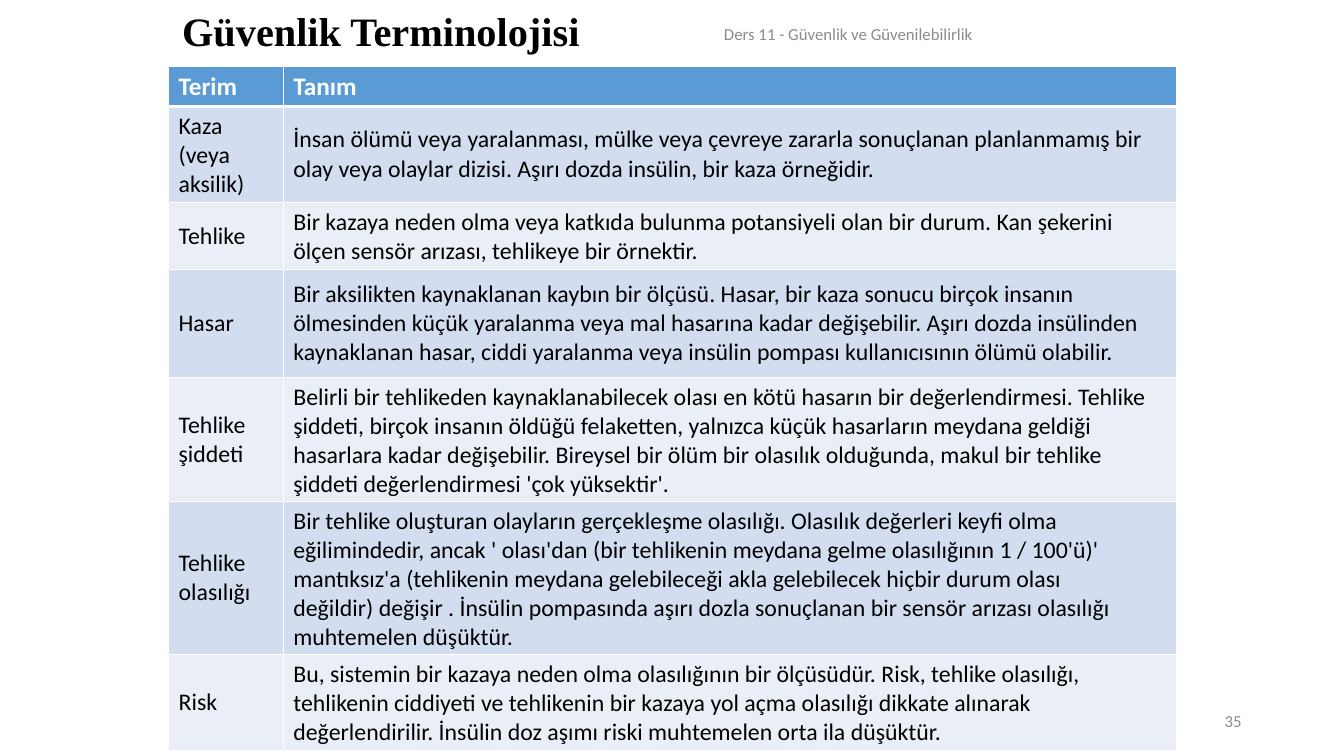
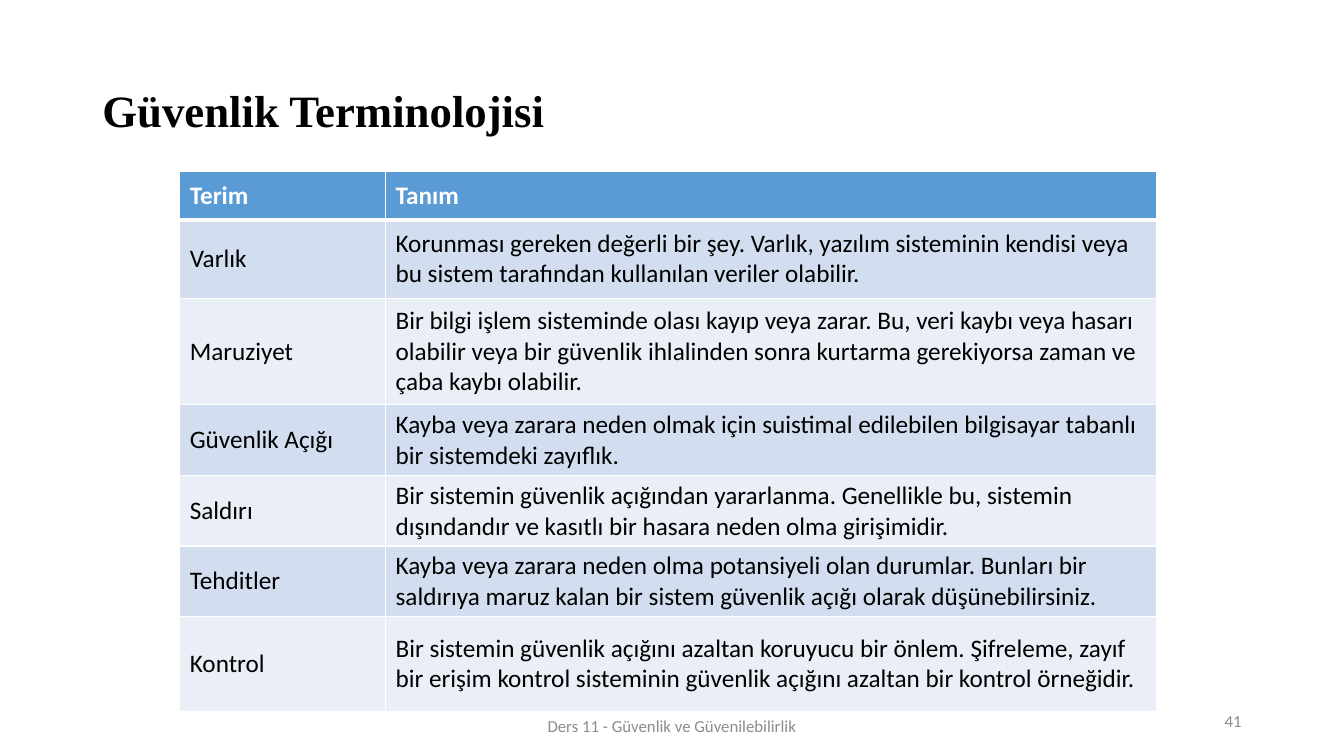
from dataclasses import dataclass

from lxml import etree
from pptx import Presentation
from pptx.dml.color import RGBColor
from pptx.enum import text
from pptx.oxml import ns
from pptx.util import Pt

COLORS = {
    "black": "000000",
    "white": "FFFFFF",
    "muted": "8C8C8C",
    "header": "5B9BD5",
    "band_dark": "D2DEEF",
    "band_light": "EAEFF7",
}
TITLE = "Güvenlik Terminolojisi"
FOOTER = "Ders 11 - Güvenlik ve Güvenilebilirlik"
HEADINGS = ("Terim", "Tanım")
TITLE_FONT, BODY_FONT = "Times New Roman", "Calibri"
NBSP = chr(160)  # "~" in the texts marks a non-breaking space


@dataclass(frozen=True)
class Box:
    left: float
    top: float
    width: float
    height: float


@dataclass(frozen=True)
class TermSlide:
    number: int
    title: Box
    title_size: float
    footer: Box
    table: Box
    term_width: float
    body_size: float
    row_heights: tuple[float, ...]
    terms: tuple[tuple[str, str], ...]


NUMBER_BOX = Box(678, 500.4, 216, 28.8)

SLIDES = (
    TermSlide(
        number=35,
        title=Box(123, 4.3, 574.6, 38.9),
        title_size=28.8,
        footer=Box(492, 9.6, 228, 28.8),
        table=Box(120.4, 47.2, 720, 488),
        term_width=82,
        body_size=17,
        row_heights=(25.2, 59, 41, 77, 77, 94.3, 59),
        terms=(
            ("Kaza (veya aksilik)",
             "İnsan ölümü veya yaralanması, mülke veya çevreye zararla sonuçlanan "
             "planlanmamış bir olay veya olaylar dizisi.~Aşırı dozda insülin, bir kaza "
             "örneğidir."),
            ("Tehlike",
             "Bir kazaya neden olma veya katkıda bulunma potansiyeli olan bir durum.~Kan "
             "şekerini ölçen sensör arızası, tehlikeye bir örnektir."),
            ("Hasar",
             "Bir aksilikten kaynaklanan kaybın bir ölçüsü.~Hasar, bir kaza sonucu birçok "
             "insanın ölmesinden küçük yaralanma veya mal hasarına kadar değişebilir.~Aşırı "
             "dozda insülinden kaynaklanan hasar, ciddi yaralanma veya insülin pompası "
             "kullanıcısının ölümü olabilir."),
            ("Tehlike şiddeti",
             "Belirli bir tehlikeden kaynaklanabilecek olası en kötü hasarın bir "
             "değerlendirmesi.~Tehlike şiddeti, birçok insanın öldüğü felaketten, yalnızca "
             "küçük hasarların meydana geldiği hasarlara kadar değişebilir.~Bireysel bir "
             "ölüm bir olasılık olduğunda, makul bir tehlike şiddeti değerlendirmesi "
             "'çok yüksektir'."),
            ("Tehlike olasılığı",
             "Bir tehlike oluşturan olayların gerçekleşme olasılığı.~Olasılık değerleri "
             "keyfi olma eğilimindedir, ancak '~olası'dan (bir tehlikenin meydana gelme "
             "olasılığının 1 / 100'ü)' mantıksız'a (tehlikenin meydana gelebileceği akla "
             "gelebilecek hiçbir durum olası değildir)~değişir~.~İnsülin pompasında aşırı "
             "dozla sonuçlanan bir sensör arızası olasılığı muhtemelen düşüktür."),
            ("Risk",
             "Bu, sistemin bir kazaya neden olma olasılığının bir ölçüsüdür.~Risk, tehlike "
             "olasılığı, tehlikenin ciddiyeti ve tehlikenin bir kazaya yol açma olasılığı "
             "dikkate alınarak değerlendirilir.~İnsülin doz aşımı riski muhtemelen orta "
             "ila düşüktür."),
        ),
    ),
    TermSlide(
        number=41,
        title=Box(66, 28.8, 828, 104.4),
        title_size=32,
        footer=Box(366, 504, 228, 28.8),
        table=Box(128.4, 122.4, 697.6, 385),
        term_width=147,
        body_size=18,
        row_heights=(34.5, 56.2, 76, 48.3, 48.3, 48.3, 67.7),
        terms=(
            ("Varlık",
             "Korunması gereken değerli bir şey.~Varlık, yazılım sisteminin kendisi veya bu "
             "sistem tarafından kullanılan veriler olabilir."),
            ("Maruziyet",
             "Bir bilgi işlem sisteminde olası kayıp veya zarar.~Bu, veri kaybı veya hasarı "
             "olabilir veya bir güvenlik ihlalinden sonra kurtarma gerekiyorsa zaman ve "
             "çaba kaybı olabilir."),
            ("Güvenlik Açığı",
             "Kayba veya zarara neden olmak için suistimal edilebilen bilgisayar tabanlı "
             "bir sistemdeki zayıflık."),
            ("Saldırı",
             "Bir sistemin güvenlik açığından yararlanma.~Genellikle bu, sistemin "
             "dışındandır ve kasıtlı bir hasara neden olma girişimidir."),
            ("Tehditler",
             "Kayba veya zarara neden olma potansiyeli olan durumlar.~Bunları bir saldırıya "
             "maruz kalan bir sistem güvenlik açığı olarak düşünebilirsiniz."),
            ("Kontrol",
             "Bir sistemin güvenlik açığını azaltan koruyucu bir önlem.~Şifreleme, zayıf bir "
             "erişim kontrol sisteminin güvenlik açığını azaltan bir kontrol örneğidir."),
        ),
    ),
)


def write(tf, content: str, *, size: float, color: str, font: str = BODY_FONT,
          bold: bool = False, align=text.PP_ALIGN.LEFT, spacing: float = 1.0) -> None:
    """Put one formatted paragraph in a text frame."""
    tf.word_wrap = True
    p = tf.paragraphs[0]
    p.alignment = align
    p.line_spacing = spacing
    r = p.add_run()
    r.text = content.replace("~", NBSP)
    r.font.name = font
    r.font.size = Pt(size)
    r.font.bold = bold
    r.font.color.rgb = RGBColor.from_string(COLORS[color])


def add_text(s, box: Box, content: str, **fmt) -> None:
    sp = s.shapes.add_textbox(Pt(box.left), Pt(box.top), Pt(box.width), Pt(box.height))
    sp.text_frame.vertical_anchor = text.MSO_ANCHOR.MIDDLE
    write(sp.text_frame, content, **fmt)


def add_borders(cell, bottom: float) -> None:
    """Draw white cell borders; only the bottom width varies."""
    tc_pr = cell._tc.get_or_add_tcPr()
    for side, width in (("L", 1), ("R", 1), ("T", 1), ("B", bottom)):
        ln = etree.SubElement(tc_pr, ns.qn(f"a:ln{side}"), w=str(Pt(width)))
        fill = etree.SubElement(ln, ns.qn("a:solidFill"))
        etree.SubElement(fill, ns.qn("a:srgbClr"), val=COLORS["white"])


def add_term_table(s, data: TermSlide) -> None:
    box = data.table
    rows = (HEADINGS, *data.terms)
    table = s.shapes.add_table(len(rows), 2, Pt(box.left), Pt(box.top),
                               Pt(box.width), Pt(box.height)).table
    table.columns[0].width = Pt(data.term_width)
    table.columns[1].width = Pt(box.width - data.term_width)
    for i, (row, height) in enumerate(zip(rows, data.row_heights)):
        table.rows[i].height = Pt(height)
        header = i == 0
        band = "header" if header else ("band_light", "band_dark")[i % 2]
        for j, content in enumerate(row):
            cell = table.cell(i, j)
            add_borders(cell, bottom=3 if header else 1)
            cell.fill.solid()
            cell.fill.fore_color.rgb = RGBColor.from_string(COLORS[band])
            cell.vertical_anchor = text.MSO_ANCHOR.MIDDLE
            write(cell.text_frame, content, size=18 if header else data.body_size,
                  color="white" if header else "black", bold=header)


def add_term_slide(prs, data: TermSlide) -> None:
    s = prs.slides.add_slide(prs.slide_layouts[6])
    # Title
    add_text(s, data.title, TITLE, size=data.title_size, color="black",
             font=TITLE_FONT, bold=True, spacing=0.9)
    # Terms and definitions
    add_term_table(s, data)
    # Slide number and footer
    add_text(s, NUMBER_BOX, str(data.number), size=12, color="muted",
             align=text.PP_ALIGN.RIGHT)
    add_text(s, data.footer, FOOTER, size=12, color="muted",
             align=text.PP_ALIGN.CENTER)


def main() -> None:
    prs = Presentation()
    prs.slide_width, prs.slide_height = Pt(960), Pt(540)
    for data in SLIDES:
        add_term_slide(prs, data)
    prs.save("out.pptx")


if __name__ == "__main__":
    main()
